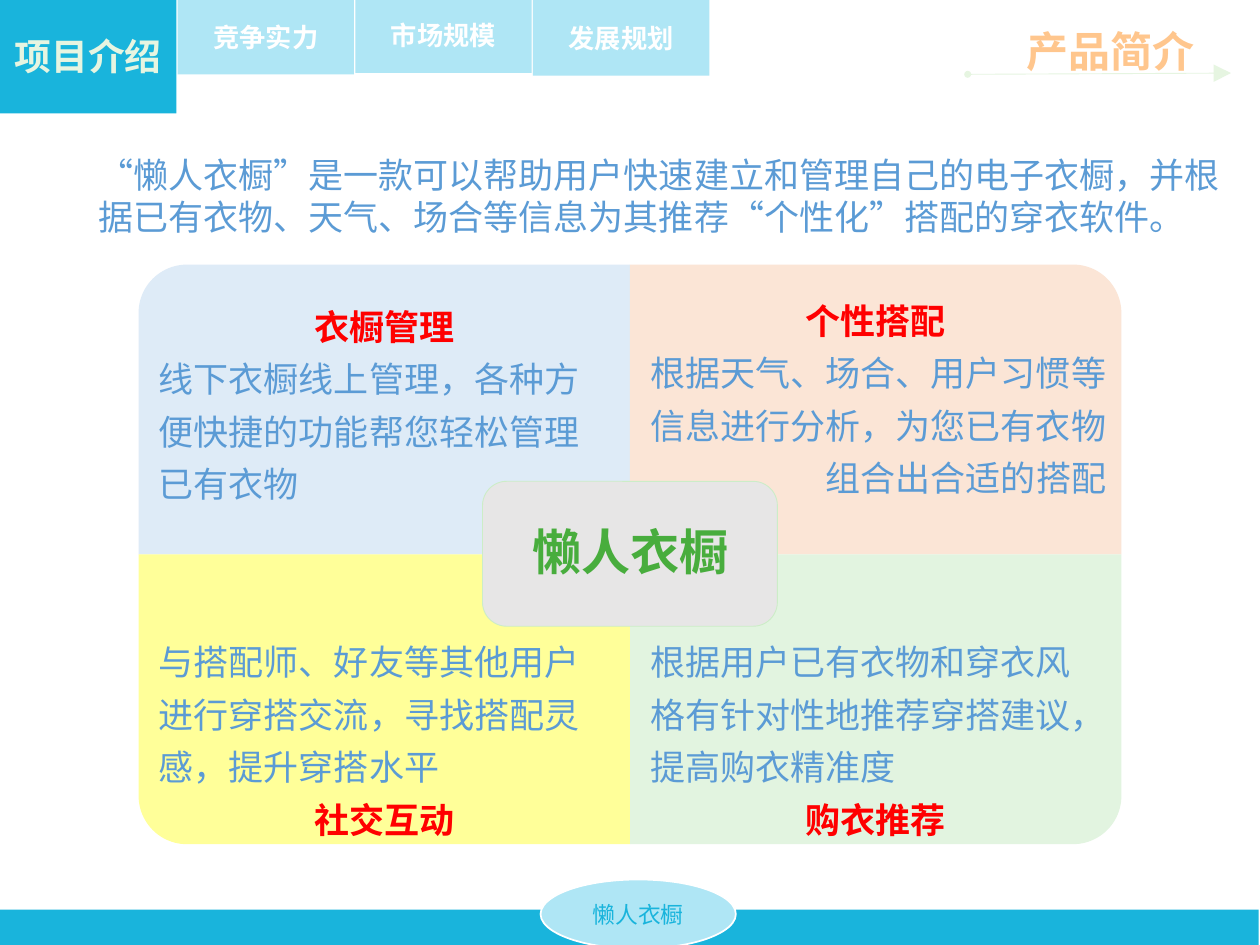
from lxml import etree
from pptx import Presentation
from pptx.dml.color import RGBColor
from pptx.enum.shapes import MSO_CONNECTOR, MSO_SHAPE
from pptx.enum.text import MSO_ANCHOR, PP_ALIGN
from pptx.oxml.ns import qn
from pptx.util import Inches, Pt

RECT, OVAL = MSO_SHAPE.RECTANGLE, MSO_SHAPE.OVAL
ROUNDED, ONE_ROUND = MSO_SHAPE.ROUNDED_RECTANGLE, MSO_SHAPE.ROUND_1_RECTANGLE
STRAIGHT = MSO_CONNECTOR.STRAIGHT
TOP, MIDDLE = MSO_ANCHOR.TOP, MSO_ANCHOR.MIDDLE
LEFT, CENTER, RIGHT = PP_ALIGN.LEFT, PP_ALIGN.CENTER, PP_ALIGN.RIGHT

COLORS = {
    "teal": "19B4DC", "sky": "AFE6F5", "mint": "E6F5E1", "white": "FFFFFF",
    "orange": "FFC68D", "blue": "5B9BD5", "red": "FF0000", "green": "48AD3D",
    "gray": "E7E6E6", "edge": "CCEDC7", "pale_blue": "DEEBF7",
    "peach": "FBE5D6", "yellow": "FFFF99", "pale_green": "E2F4E0",
}
CJK_FONT = "Noto Sans CJK SC"


def rgb(name):
    return RGBColor.from_string(COLORS[name])


def para(text, size, color, bold=False, align=LEFT, spacing=None, font=CJK_FONT):
    """Describe one paragraph; spacing is a Pt length or a line multiple."""
    return {"text": text, "color": color, "font": font,
            "layout": {"alignment": align, "line_spacing": spacing},
            "format": {"size": Pt(size), "bold": bold}}


class SlideBuilder:
    def __init__(self, slide):
        self.slide = slide

    def fill_text(self, frame, paragraphs, anchor=MIDDLE, inset=None):
        margins = {"margin_left": 0.1, "margin_right": 0.1,
                   "margin_top": 0.05, "margin_bottom": 0.05}
        for side, default in margins.items():
            setattr(frame, side, Inches(default if inset is None else inset))
        frame.word_wrap = True
        frame.vertical_anchor = anchor
        for index, item in enumerate(paragraphs):
            paragraph = frame.add_paragraph() if index else frame.paragraphs[0]
            for key, value in item["layout"].items():
                setattr(paragraph, key, value)
            run = paragraph.add_run()
            run.text = item["text"]
            for key, value in item["format"].items():
                setattr(run.font, key, value)
            run.font.color.rgb = rgb(item["color"])
            run.font.name = item["font"]
            east_asian = etree.Element(qn("a:ea"), typeface=CJK_FONT)
            run.font._element.find(qn("a:latin")).addnext(east_asian)

    def text(self, box, paragraphs, **frame_format):
        area = self.slide.shapes.add_textbox(*map(Inches, box))
        self.fill_text(area.text_frame, paragraphs, **frame_format)

    def shape(self, kind, box, fill, outline=None, rotation=0, paragraphs=()):
        """Add a filled shape; outline is a (colour, points) pair."""
        shape = self.slide.shapes.add_shape(kind, *map(Inches, box))
        shape.shadow.inherit = False
        shape.rotation = rotation
        shape.fill.solid()
        shape.fill.fore_color.rgb = rgb(fill)
        if outline:
            shape.line.color.rgb = rgb(outline[0])
            shape.line.width = Pt(outline[1])
        else:
            shape.line.fill.background()
        if paragraphs:
            self.fill_text(shape.text_frame, paragraphs)

    def arrow(self, start, end, color, width):
        """Draw a line with a large triangle at start and a small dot at end."""
        line = self.slide.shapes.add_connector(STRAIGHT, *map(Inches, start + end))
        line.line.color.rgb = rgb(color)
        line.line.width = Pt(width)
        outline = line.line._get_or_add_ln()
        for tag, kind, size in (("headEnd", "triangle", "lg"), ("tailEnd", "oval", "sm")):
            etree.SubElement(outline, qn(f"a:{tag}"), type=kind, w=size, len=size)
        etree.SubElement(line._element.spPr, qn("a:effectLst"))

    def card(self, column, row, fill, rotation):
        """Place a quarter panel whose rounded corner faces outwards."""
        width, height = 3.9, 2.3
        center_x, center_y = 1.1 + width * (column + 0.5), 2.1 + height * (row + 0.5)
        if rotation % 180:
            width, height = height, width
        box = (center_x - width / 2, center_y - height / 2, width, height)
        self.shape(ONE_ROUND, box, fill, rotation=rotation)


def main():
    deck = Presentation()
    deck.slide_width, deck.slide_height = Inches(10), Inches(7.5)
    page = SlideBuilder(deck.slides.add_slide(deck.slide_layouts[6]))

    # Navigation and title
    page.shape(RECT, (0, -0.01, 1.4, 0.91), "teal",
               paragraphs=[para("项目介绍", 21, "mint", True, CENTER)])
    tabs = [("竞争实力", -0.01), ("市场规模", -0.02), ("发展规划", 0)]
    for index, (label, top) in enumerate(tabs, start=1):
        page.shape(RECT, (1.41 * index, top, 1.4, 0.6), "sky",
                   paragraphs=[para(label, 15, "white", True, CENTER)])
    page.arrow((9.77, 0.58), (7.68, 0.59), "mint", 0.5)
    page.text((8.05, 0.15, 1.59, 0.5),
              [para("产品简介", 24, "orange", True, spacing=Pt(28.8))], anchor=TOP)

    page.text((0.68, 1.17, 9.15, 0.77), [para(
        "“懒人衣橱”是一款可以帮助用户快速建立和管理自己的电子衣橱，"
        "并根据已有衣物、天气、场合等信息为其推荐“个性化”搭配的穿衣软件。",
        20, "blue", spacing=Pt(24))], anchor=TOP)

    # Four feature panels: column, row, fill, rotation, text top, inset, align
    features = [
        (0, 0, "pale_blue", 270, 2.31, 0.16, LEFT, "衣橱管理",
         "线下衣橱线上管理，各种方便快捷的功能帮您轻松管理已有衣物"),
        (1, 0, "peach", 0, 2.26, 0.12, RIGHT, "个性搭配",
         "根据天气、场合、用户习惯等信息进行分析，为您已有衣物组合出合适的搭配"),
        (0, 1, "yellow", 180, 4.97, 0.16, LEFT, "社交互动",
         "与搭配师、好友等其他用户进行穿搭交流，寻找搭配灵感，提升穿搭水平"),
        (1, 1, "pale_green", 90, 4.97, 0.16, LEFT, "购衣推荐",
         "根据用户已有衣物和穿衣风格有针对性地推荐穿搭建议，提高购衣精准度"),
    ]
    for column, row, fill, rotation, top, inset, align, heading, body in features:
        page.card(column, row, fill, rotation)
        content = [para(heading, 20, "red", True, CENTER, Pt(30)),
                   para(body, 20, "blue", False, align, Pt(30))]
        if row:
            content.reverse()
        page.text((1.1 + 3.9 * column, top, 3.9, 1.73), content, inset=inset)

    page.shape(ROUNDED, (3.83, 3.82, 2.34, 1.15), "gray", ("edge", 0.5))
    page.text((3.89, 3.88, 2.23, 1.04),
              [para("懒人衣橱", 28, "green", True, CENTER, 0.9, "Calibri")], inset=0.12)

    # Footer
    page.shape(RECT, (0, 7.22, 9.99, 0.28), "teal")
    page.shape(OVAL, (4.29, 6.98, 1.55, 0.55), "sky", ("white", 1),
               paragraphs=[para("懒人衣橱", 13, "teal", align=CENTER)])

    deck.save("out.pptx")


if __name__ == "__main__":
    main()
